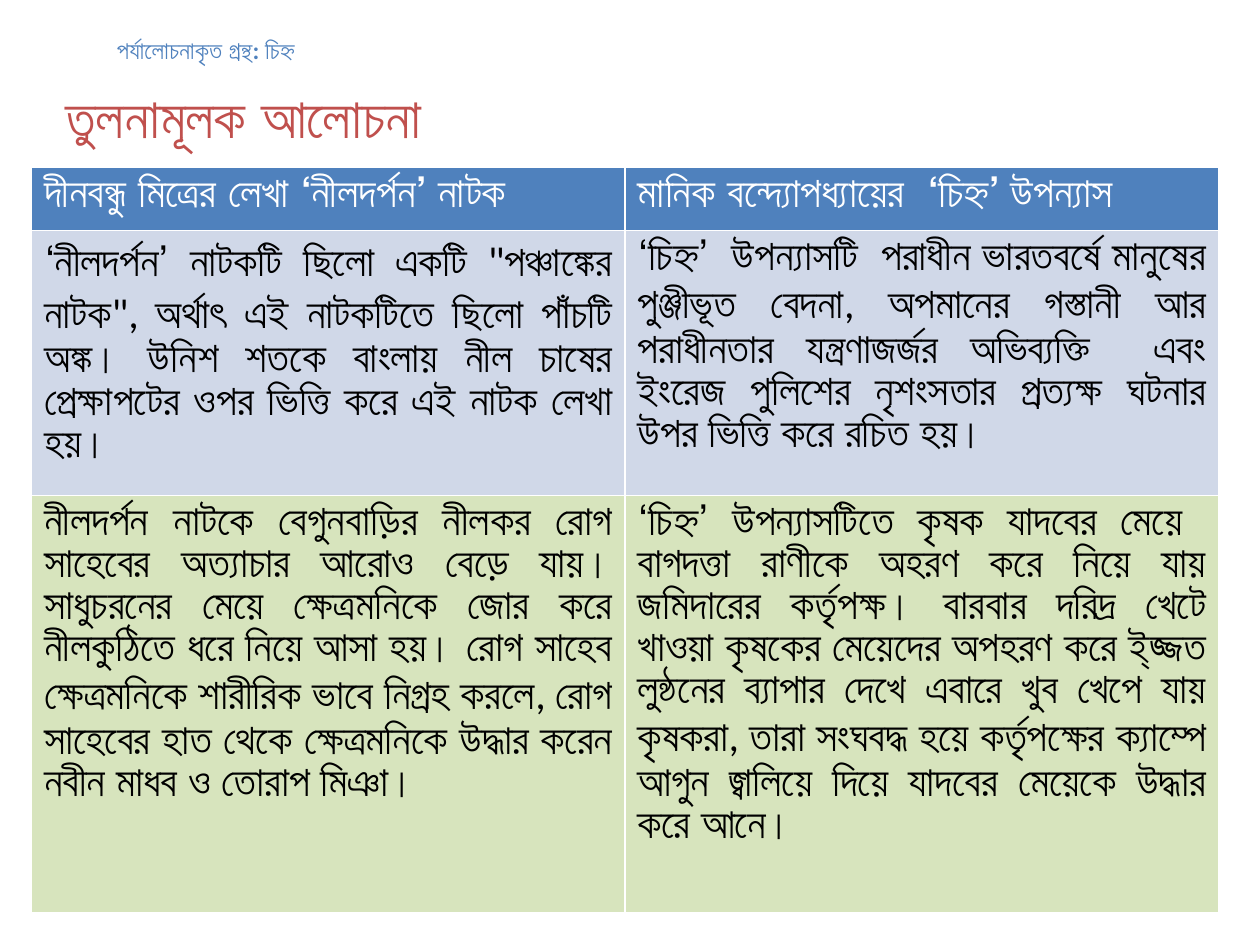
from pptx import Presentation
from pptx.dml.color import RGBColor
from pptx.enum.text import MSO_ANCHOR, MSO_AUTO_SIZE, PP_ALIGN
from pptx.util import Inches, Pt

LEFT, JUST = PP_ALIGN.LEFT, PP_ALIGN.JUSTIFY
MIDDLE, TOP = MSO_ANCHOR.MIDDLE, MSO_ANCHOR.TOP
GROW = MSO_AUTO_SIZE.SHAPE_TO_FIT_TEXT
FIXED = MSO_AUTO_SIZE.NONE

HUES = {
    "red": "C0504D",
    "blue": "4F81BD",
    "white": "FFFFFF",
    "black": "000000",
    "pale": "D0D8E8",
    "green": "D7E4BD",
}

TITLE = 'তুলনামূলক আলোচনা'
BOOK = 'পর্যালোচনাকৃত গ্রন্থ: চিহ্ন'
HEADS = (
    'দীনবন্ধু মিত্রের লেখা ‘নীলদর্পন’ নাটক',
    'মানিক বন্দ্যোপধ্যায়ের  ‘চিহ্ন’ উপন্যাস',
)
BASIS = (
    '‘নীলদর্পন’ নাটকটি ছিলো একটি "পঞ্চাঙ্কের নাটক", অর্থাৎ এই নাটকটিতে '
    'ছিলো পাঁচটি অঙ্ক। উনিশ শতকে বাংলায় নীল চাষের প্রেক্ষাপটের ওপর '
    'ভিত্তি করে এই নাটক লেখা হয়। ',
    '‘চিহ্ন’  উপন্যাসটি  পরাধীন ভারতবর্ষে মানুষের পুঞ্জীভূত বেদনা, '
    'অপমানের গস্তানী আর পরাধীনতার যন্ত্রণাজর্জর অভিব্যক্তি  এবং ইংরেজ '
    'পুলিশের নৃশংসতার প্রত্যক্ষ ঘটনার উপর ভিত্তি করে রচিত হয়। ',
)
EVENTS = (
    'নীলদর্পন নাটকে বেগুনবাড়ির নীলকর রোগ সাহেবের অত্যাচার আরোও বেড়ে '
    'যায়। সাধুচরনের মেয়ে ক্ষেত্রমনিকে জোর করে নীলকুঠিতে ধরে নিয়ে আসা '
    'হয়। রোগ সাহেব ক্ষেত্রমনিকে শারীরিক ভাবে নিগ্রহ করলে, রোগ সাহেবের '
    'হাত থেকে ক্ষেত্রমনিকে উদ্ধার করেন নবীন মাধব ও তোরাপ মিঞা। ',
    '‘চিহ্ন’ উপন্যাসটিতে কৃষক যাদবের মেয়ে  বাগদত্তা রাণীকে অহরণ করে '
    'নিয়ে যায় জমিদারের কর্তৃপক্ষ। বারবার দরিদ্র খেটে খাওয়া কৃষকের '
    'মেয়েদের অপহরণ করে ই্জ্জত লুন্ঠনের ব্যাপার দেখে এবারে খুব খেপে যায় '
    'কৃষকরা, তারা সংঘবদ্ধ হয়ে কর্তৃপক্ষের ক্যাম্পে আগুন জ্বালিয়ে দিয়ে '
    'যাদবের মেয়েকে উদ্ধার করে আনে।',
)
ROWS = (
    (HEADS, 0.49, "blue", "white", True, LEFT),
    (BASIS, 2.1, "pale", "black", False, JUST),
    (EVENTS, 3.31, "green", "black", False, JUST),
)


def apply(item, look):
    for name, value in look.items():
        setattr(item, name, value)


def write(frame, text, size, hue, bold=True, align=LEFT):
    para = frame.paragraphs[0]
    para.alignment = align
    run = para.add_run()
    run.text = text
    apply(run.font, {"name": "Calibri", "size": Pt(size), "bold": bold})
    run.font.color.rgb = RGBColor.from_string(HUES[hue])


def add_title(slide, box):
    title = slide.shapes.title
    apply(title, dict(zip(("left", "top", "width", "height"), box)))
    apply(title.text_frame, {
        "word_wrap": True, "auto_size": FIXED, "vertical_anchor": MIDDLE})
    write(title.text_frame, TITLE, 32, "red")


def add_book(slide, box):
    frame = slide.shapes.add_textbox(*box).text_frame
    apply(frame, {
        "word_wrap": True, "auto_size": GROW, "vertical_anchor": TOP})
    write(frame, BOOK, 14, "blue")


def add_grid(slide, box):
    table = slide.shapes.add_table(len(ROWS), len(HEADS), *box).table
    for col in table.columns:
        col.width = box[2] // len(HEADS)
    for row, (texts, high, fill, hue, bold, align) in zip(table.rows, ROWS):
        row.height = Inches(high)
        for cell, text in zip(row.cells, texts):
            cell.fill.solid()
            cell.fill.fore_color.rgb = RGBColor.from_string(HUES[fill])
            write(cell.text_frame, text, 24, hue, bold, align)


def main():
    deck = Presentation()
    apply(deck, {"slide_width": Inches(10), "slide_height": Inches(7.5)})
    slide = deck.slides.add_slide(deck.slide_layouts[5])
    parts = (
        (add_title, (0.42, 0.57, 5, 0.71)),
        (add_book, (0.83, 0.23, 3.08, 0.64)),
        (add_grid, (0.25, 1.33, 9.42, 5.9)),
    )
    for place, box in parts:
        place(slide, [Inches(side) for side in box])
    deck.save("out.pptx")


if __name__ == "__main__":
    main()
